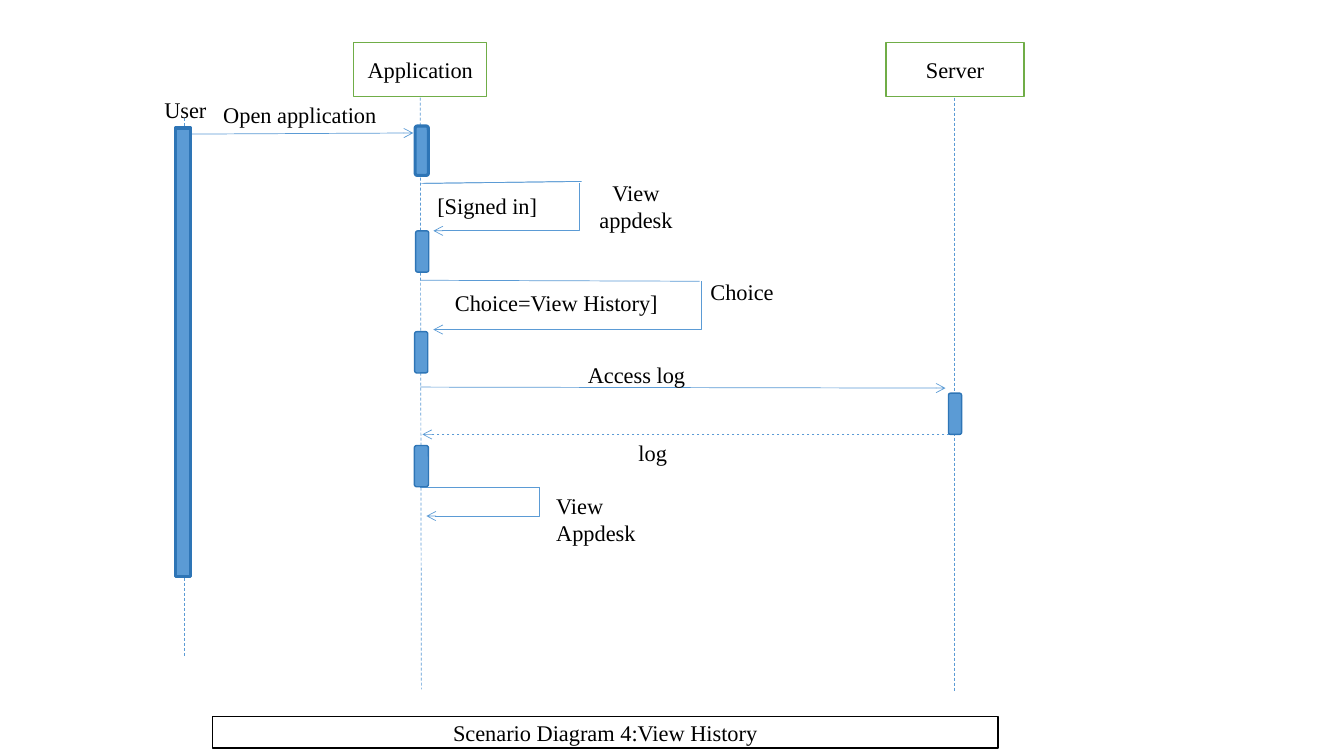
from dataclasses import dataclass

from lxml import etree
from pptx import Presentation
from pptx.dml.color import RGBColor
from pptx.enum.dml import MSO_LINE_DASH_STYLE as Dash
from pptx.enum.shapes import MSO_CONNECTOR as Connector, MSO_SHAPE as Shape
from pptx.enum.text import MSO_ANCHOR as Anchor, MSO_AUTO_SIZE as AutoSize, PP_ALIGN as Align
from pptx.oxml.ns import qn
from pptx.util import Pt


@dataclass(frozen=True)
class Theme:
    font: str = "Times New Roman"
    size: float = 16
    ink: RGBColor = RGBColor(0, 0, 0)
    paper: RGBColor = RGBColor(0xFF, 0xFF, 0xFF)
    message: RGBColor = RGBColor(0x5B, 0x9B, 0xD5)
    bar_edge: RGBColor = RGBColor(0x2E, 0x75, 0xB6)
    participant_edge: RGBColor = RGBColor(0x70, 0xAD, 0x47)
    hairline: float = 0.5
    outline: float = 1
    heavy: float = 2.25


THEME = Theme()

PARTICIPANTS = [
    ("Application", 252.7, 95),
    ("Server", 632.9, 98.6),
]
LIFELINES = [
    (131.8, 84.2, 131.8, 469.4),
    (300.2, 69.8, 301, 492.5),
    (681.8, 69.8, 681.8, 494.6),
]
ACTIVATIONS = [
    (296.9, 164.9, 9.4),
    (296.2, 236.9, 9.4),
    (296, 318.2, 10.1),
    (677.5, 280.8, 9.4),
]
MESSAGES = [
    (132.5, 95.8, 295.2, 95),
    (300.2, 276.5, 675.4, 277.2),
]
SELF_MESSAGES = [
    (414, 131, 309.6, 164.9),
    (501.1, 200.9, 309.6, 235.4),
    (385.2, 347.8, 304.6, 368.6),
]
SELF_MESSAGE_STARTS = [
    (414, 129.6, 301, 131),
    (415.4, 129.6, 302.4, 131),
    (499.7, 200.9, 300.2, 200.2),
    (385.2, 347.8, 300.2, 347.8),
]
LABELS = [
    ("User", 105.8, 64.8, 53.3, 26.6, Align.CENTER),
    ("Open application", 151.9, 68.4, 124.6, 26.6, Align.CENTER),
    ("[Signed in]", 305.3, 133.9, 97.9, 26.6, Align.LEFT),
    ("View appdesk", 414, 124.6, 80.6, 46.1, Align.CENTER),
    ("Choice=View History]", 316.8, 203, 161.3, 26.6, Align.CENTER),
    ("Access log", 371.5, 254.2, 166.3, 26.6, Align.CENTER),
    ("log", 437.8, 310.3, 56.9, 26.6, Align.CENTER),
    ("View Appdesk", 390.2, 347.8, 87.1, 46.1, Align.LEFT),
]


def write(frame, wording, align):
    frame.text = wording
    paragraph = frame.paragraphs[0]
    paragraph.alignment = align
    font = paragraph.runs[0].font
    font.name, font.size, font.color.rgb = THEME.font, Pt(THEME.size), THEME.ink


def paint(block, fill, edge, weight):
    block.fill.solid()
    block.fill.fore_color.rgb = fill
    block.line.color.rgb = edge
    block.line.width = Pt(weight)


def add_block(slide, kind, bounds, fill, edge, weight):
    block = slide.shapes.add_shape(kind, *map(Pt, bounds))
    block.shadow.inherit = False
    paint(block, fill, edge, weight)
    return block


def add_participant(slide, role, left, width):
    participant = add_block(slide, Shape.RECTANGLE, (left, 30.2, width, 38.9),
                            THEME.paper, THEME.participant_edge, THEME.outline)
    participant.text_frame.vertical_anchor = Anchor.MIDDLE
    write(participant.text_frame, role, Align.CENTER)


def add_bar(slide, kind, bounds, weight):
    add_block(slide, kind, bounds, THEME.message, THEME.bar_edge, weight)


def add_line(slide, ends, kind=Connector.STRAIGHT, dashed=False, arrow=False):
    line = slide.shapes.add_connector(kind, *map(Pt, ends))
    line.line.color.rgb = THEME.message
    line.line.width = Pt(THEME.hairline)
    if dashed:
        line.line.dash_style = Dash.DASH
    properties = line._element.spPr
    if arrow:
        etree.SubElement(properties.find(qn("a:ln")), qn("a:tailEnd"), type="arrow")
    etree.SubElement(properties, qn("a:effectLst"))
    return line


def add_self_message(slide, ends):
    message = add_line(slide, ends, Connector.ELBOW, arrow=True)
    geometry = message._element.spPr.find(qn("a:prstGeom"))
    adjustments = geometry.find(qn("a:avLst"))
    if adjustments is None:
        adjustments = etree.SubElement(geometry, qn("a:avLst"))
    etree.SubElement(adjustments, qn("a:gd"), name="adj1", fmla="val 0")


def add_label(slide, wording, left, top, width, height, align, wrap=True):
    label = slide.shapes.add_textbox(Pt(left), Pt(top), Pt(width), Pt(height))
    label.text_frame.word_wrap = wrap
    label.text_frame.auto_size = AutoSize.SHAPE_TO_FIT_TEXT
    write(label.text_frame, wording, align)


def set_title(slide, wording, left, top, width, height):
    title = slide.shapes.title
    title.left, title.top, title.width, title.height = map(Pt, (left, top, width, height))
    paint(title, THEME.paper, THEME.ink, THEME.outline)
    title.text_frame.auto_size = AutoSize.NONE
    title.text_frame.vertical_anchor = Anchor.MIDDLE
    write(title.text_frame, wording, Align.CENTER)


def main():
    deck = Presentation()
    deck.slide_width, deck.slide_height = Pt(960), Pt(540)
    slide = deck.slides.add_slide(deck.slide_layouts.get_by_name("Title Only"))

    set_title(slide, "Scenario Diagram 4:View History", 151.9, 511.9, 560.9, 22.3)
    for ends in LIFELINES:
        add_line(slide, ends, dashed=True)
    for participant in PARTICIPANTS:
        add_participant(slide, *participant)
    for ends in MESSAGES:
        add_line(slide, ends, arrow=True)
    add_line(slide, (681.8, 310.3, 301.7, 310.3), dashed=True, arrow=True)
    for ends in SELF_MESSAGE_STARTS:
        add_line(slide, ends)
    for ends in SELF_MESSAGES:
        add_self_message(slide, ends)

    add_bar(slide, Shape.RECTANGLE, (125.3, 91.4, 10.8, 320.4), THEME.heavy)
    add_bar(slide, Shape.ROUNDED_RECTANGLE, (296.6, 90, 9.4, 35.3), THEME.heavy)
    for left, top, width in ACTIVATIONS:
        add_bar(slide, Shape.ROUNDED_RECTANGLE, (left, top, width, 29.5), THEME.outline)

    for label in LABELS:
        add_label(slide, *label)
    add_label(slide, "Choice", 500.4, 195.1, 59.8, 26.6, Align.LEFT, wrap=False)

    deck.save("out.pptx")


if __name__ == "__main__":
    main()
